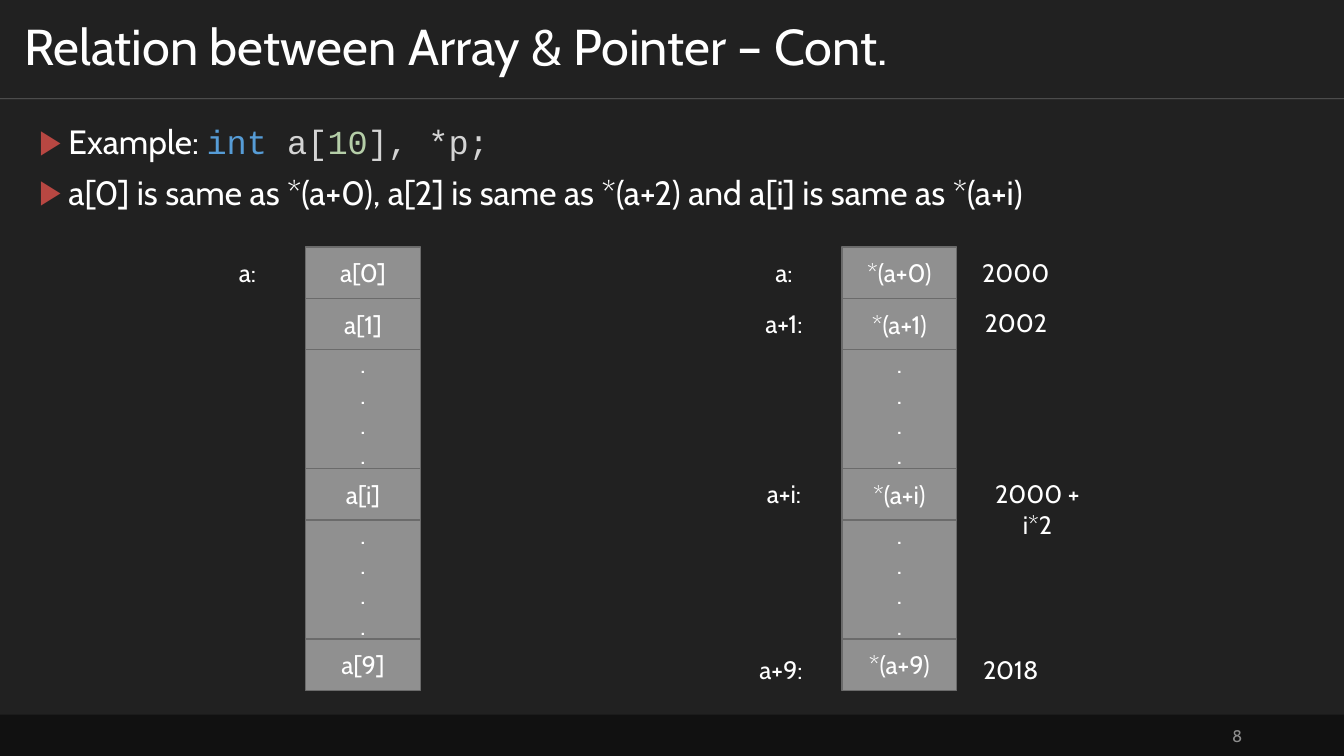
from dataclasses import dataclass

from lxml import etree
from pptx import Presentation
from pptx import util as u
from pptx.dml.color import RGBColor
from pptx.enum import shapes, text
from pptx.oxml import ns

EMU_PER_PX = 9144
SLIDE_WIDTH, SLIDE_HEIGHT = 1333, 750
ROW_HEIGHTS = (51, 51, 118, 51, 118, 51)
DOTS = "\n".join("...."[:4])


@dataclass(frozen=True)
class Theme:
    background: str = "212121"
    footer: str = "111111"
    muted: str = "8D8D8D"
    white: str = "FFFFFF"
    cell: str = "909090"
    border: str = "6B6B6B"
    bullet: str = "B84742"
    keyword: str = "569CD6"
    code: str = "D4D4D4"
    number: str = "B5CEA8"
    body_font: str = "Cabin"
    code_font: str = "Courier New"
    title_size: int = 36
    body_size: int = 24
    label_size: int = 18
    page_size: int = 12


THEME = Theme()
CENTER = {"alignment": text.PP_ALIGN.CENTER}


def px(length):
    return u.Emu(length * EMU_PER_PX)


def set_all(target, values):
    for name, value in values.items():
        setattr(target, name, value)


def set_fill(fill, color):
    fill.solid()
    fill.fore_color.rgb = RGBColor.from_string(color)


def add_run(paragraph, words, size, color=THEME.white, font=THEME.body_font):
    run = paragraph.add_run()
    run.text = words
    set_all(run.font, {"name": font, "size": u.Pt(size)})
    run.font.color.rgb = RGBColor.from_string(color)


def write_lines(frame, lines, size, color=THEME.white, paragraph_format=CENTER):
    for index, line in enumerate(lines.split("\n")):
        paragraph = frame.add_paragraph() if index else frame.paragraphs[0]
        set_all(paragraph, paragraph_format)
        add_run(paragraph, line, size, color)


def add_text_box(slide, box, anchor=text.MSO_ANCHOR.TOP):
    frame = slide.shapes.add_textbox(*map(px, box)).text_frame
    set_all(frame, {"word_wrap": True, "vertical_anchor": anchor})
    return frame


def add_rectangle(slide, box, fill, border=None):
    shape = slide.shapes.add_shape(shapes.MSO_SHAPE.RECTANGLE, *map(px, box))
    shape.shadow.inherit = False
    set_fill(shape.fill, fill)
    if border:
        set_fill(shape.line.fill, border)
        shape.line.width = u.Pt(1)
    else:
        shape.line.fill.background()
    return shape


def add_bullet(paragraph):
    """Give the paragraph a hanging red triangle."""
    properties = paragraph._p.get_or_add_pPr()
    indent = px(29)
    properties.set("marL", str(indent))
    properties.set("indent", str(-indent))
    color = etree.SubElement(properties, ns.qn("a:buClr"))
    etree.SubElement(color, ns.qn("a:srgbClr"), val=THEME.bullet)
    etree.SubElement(properties, ns.qn("a:buFont"), typeface="Arial")
    etree.SubElement(properties, ns.qn("a:buChar"), char="▶")


def add_title(slide, box, title):
    left, top, width, height = box
    frame = add_text_box(slide, box, text.MSO_ANCHOR.MIDDLE)
    set_all(frame, {"margin_left": px(24), "margin_right": px(24),
                    "margin_top": px(12), "margin_bottom": px(12)})
    write_lines(frame, title, THEME.title_size,
                paragraph_format={"line_spacing": 0.9})
    bottom = px(top + height)
    rule = slide.shapes.add_connector(
        shapes.MSO_CONNECTOR.STRAIGHT, px(left), bottom, px(left + width), bottom)
    set_fill(rule.line.fill, THEME.white)
    rule.line.width = u.Pt(0.5)
    properties = rule._element.spPr
    color = properties.find(".//" + ns.qn("a:srgbClr"))
    etree.SubElement(color, ns.qn("a:alpha"), val="30000")
    etree.SubElement(properties, ns.qn("a:effectLst"))


def add_footer(slide, box, page):
    left, top, width, height = box
    add_rectangle(slide, box, THEME.footer)
    frame = add_text_box(slide, (left + 942, top + 1, 300, height - 1),
                         text.MSO_ANCHOR.MIDDLE)
    write_lines(frame, page, THEME.page_size, THEME.muted,
                {"alignment": text.PP_ALIGN.RIGHT})


def add_bullets(slide, box, bullets):
    """Write one bullet for each list of (words, color, font) runs."""
    frame = add_text_box(slide, box)
    for index, (alignment, runs) in enumerate(bullets):
        paragraph = frame.add_paragraph() if index else frame.paragraphs[0]
        set_all(paragraph, {"alignment": alignment, "line_spacing": 0.9,
                            "space_before": u.Pt(10)})
        add_bullet(paragraph)
        for words, color, font in runs:
            add_run(paragraph, words, THEME.body_size, color, font)


def add_memory_column(slide, box, cells, labels):
    """Stack the cells; each label is (row, words, x, y, width) from its row."""
    left, top, width = box
    row_tops = [top + sum(ROW_HEIGHTS[:row]) for row in range(len(ROW_HEIGHTS))]
    for row_top, height, words in zip(row_tops, ROW_HEIGHTS, cells):
        cell = add_rectangle(slide, (left, row_top, width, height),
                             THEME.cell, THEME.border)
        set_all(cell.text_frame, {"word_wrap": True,
                                  "vertical_anchor": text.MSO_ANCHOR.MIDDLE})
        write_lines(cell.text_frame, words, THEME.label_size)
    for row, words, x, y, label_width in labels:
        frame = add_text_box(slide, (left + x, row_tops[row] + y, label_width, 40))
        write_lines(frame, words, THEME.label_size)


def build_slide(presentation):
    slide = presentation.slides.add_slide(presentation.slide_layouts[6])
    set_fill(slide.background.fill, THEME.background)
    add_footer(slide, (0, 709, SLIDE_WIDTH, 41), "8")
    add_title(slide, (0, 0, SLIDE_WIDTH, 98),
              "Relation between Array & Pointer – Cont.")
    add_bullets(slide, (29, 120, 1276, 571), [
        (text.PP_ALIGN.LEFT, [
            ("Example: ", THEME.white, THEME.body_font),
            ("int", THEME.keyword, THEME.code_font),
            (" a[", THEME.code, THEME.code_font),
            ("10", THEME.number, THEME.code_font),
            ("], *p;", THEME.code, THEME.code_font)]),
        (text.PP_ALIGN.JUSTIFY, [
            ("a[0] is same as *(a+0), a[2] is same as *(a+2) "
             "and a[i] is same as *(a+i)", THEME.white, THEME.body_font)]),
    ])
    add_memory_column(
        slide, (303, 245, 114),
        ("a[0]", "a[1]", DOTS, "a[i]", DOTS, "a[9]"),
        [(0, "a:", -115, 5, 115)])
    add_memory_column(
        slide, (835, 245, 114),
        ("*(a+0)", "*(a+1)", DOTS, "*(a+i)", DOTS, "*(a+9)"),
        [(0, "a:", -115, 5, 115), (1, "a+1:", -115, 5, 115),
         (3, "a+i:", -115, 5, 115), (5, "a+9:", -118, 10, 115),
         (0, "2000", 115, 5, 115), (1, "2002", 115, 4, 115),
         (3, "2000 + i*2", 126, 5, 136), (5, "2018", 110, 10, 115)])


def main():
    presentation = Presentation()
    set_all(presentation, {"slide_width": px(SLIDE_WIDTH),
                           "slide_height": px(SLIDE_HEIGHT)})
    build_slide(presentation)
    presentation.save("out.pptx")


if __name__ == "__main__":
    main()
